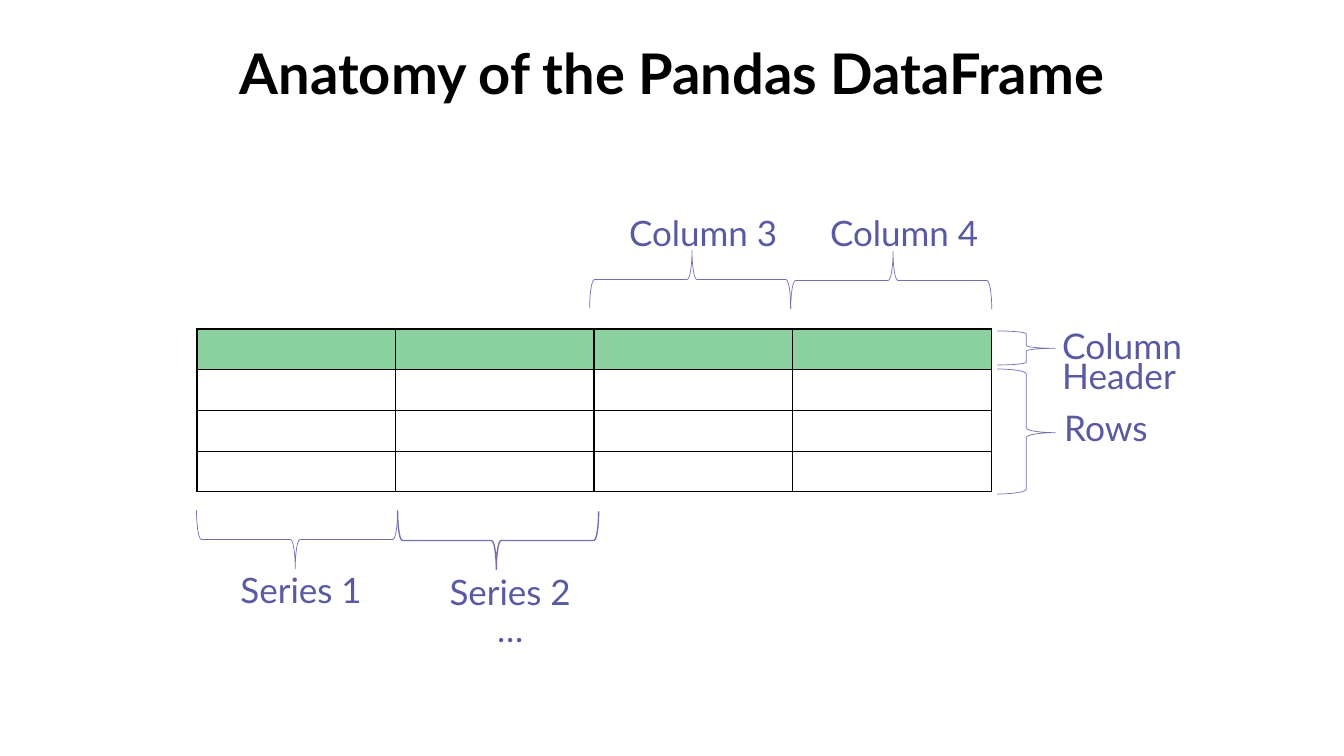
from lxml.etree import SubElement
from pptx import Presentation
from pptx.dml.color import RGBColor
from pptx.enum.shapes import MSO_SHAPE as Preset
from pptx.enum.text import MSO_ANCHOR as Anchor, PP_ALIGN as Align
from pptx.oxml.ns import qn
from pptx.util import Emu, Inches, Pt

EMU_PER_PIXEL = 914400 / 100.8


def color(hex_code):
    return RGBColor.from_string(hex_code)


def pixels(*lengths):
    return [Emu(round(length * EMU_PER_PIXEL)) for length in lengths]


class Diagram:
    FONT = "Lato"
    BLACK, LABEL, BRACE, HEADER = "000000", "5A5AA3", "7171B0", "5CC079"
    HEADER_OPACITY = 70

    def __init__(self, slide):
        self.slide = slide

    def text(self, content, left, top, width, height, size=25, ink=LABEL,
             bold=False, align=Align.LEFT, spacing=0.9):
        box = self.slide.shapes.add_textbox(*pixels(left, top, width, height))
        frame = box.text_frame
        frame.word_wrap = True
        frame.vertical_anchor = Anchor.TOP
        paragraph = frame.paragraphs[0]
        paragraph.alignment = align
        paragraph.line_spacing = spacing
        run = paragraph.add_run()
        run.text = content
        formats = {"name": self.FONT, "size": Pt(size), "bold": bold}
        for name, value in formats.items():
            setattr(run.font, name, value)
        run.font.color.rgb = color(ink)

    def brace(self, left, top, height, rotation, weight=0.5, width=58):
        shape = self.slide.shapes.add_shape(
            Preset.LEFT_BRACE, *pixels(left, top, width, height))
        shape.rotation = rotation
        shape.adjustments[0], shape.adjustments[1] = 0.083, 0.491
        shape.shadow.inherit = False
        shape.fill.background()
        shape.line.color.rgb = color(self.BRACE)
        shape.line.width = Pt(weight)

    def border(self, cell):
        properties = cell._tc.get_or_add_tcPr()
        for side in ("a:lnL", "a:lnR", "a:lnT", "a:lnB"):
            line = SubElement(properties, qn(side), w=str(Pt(1)))
            fill = SubElement(line, qn("a:solidFill"))
            SubElement(fill, qn("a:srgbClr"), val=self.BLACK)

    def table(self, rows, columns, left, top, width, height):
        table = self.slide.shapes.add_table(
            rows, columns, *pixels(left, top, width, height)).table
        table.first_row = table.horz_banding = False
        for cell in table.iter_cells():
            self.border(cell)
            cell.fill.background()
        # Translucent header row
        for cell in table.rows[0].cells:
            cell.fill.solid()
            cell.fill.fore_color.rgb = color(self.HEADER)
            tint = cell._tc.tcPr.find(".//" + qn("a:solidFill") + "[last()]")
            tint = cell._tc.tcPr.find(qn("a:solidFill")).find(qn("a:srgbClr"))
            SubElement(tint, qn("a:alpha"), val=str(self.HEADER_OPACITY * 1000))


presentation = Presentation()
presentation.slide_width, presentation.slide_height = Inches(13.33), Inches(7.5)
diagram = Diagram(presentation.slides.add_slide(presentation.slide_layouts[6]))

# Title and data frame
diagram.text("Anatomy of the Pandas DataFrame", 0, 41, 1344, 73, size=40,
             ink=Diagram.BLACK, bold=True, align=Align.CENTER)
diagram.table(4, 4, 197, 329, 794, 163)

# Header and row braces on the right
for label, left, top, brace_top, brace_height in (
        ("Column Header", 1052, 331, 331, 34),
        ("Rows", 1054, 413, 369, 125)):
    diagram.brace(997, brace_top, brace_height, 180)
    diagram.text(label, left, top, 255, 42, size=25.2, spacing=0.7)

# Column braces above, series braces below
COLUMN_STEP = 201
for index, (column, series, series_weight) in enumerate((
        ("Column 3", "Series 1", 0.5), ("Column 4", "Series 2 …", 1))):
    shift = index * COLUMN_STEP
    diagram.brace(661 + shift, 179 + index, COLUMN_STEP, 90)
    diagram.text(column, 619 + shift, 211, 168, 40)
    diagram.brace(268 + shift, 439 + index, COLUMN_STEP, 270, series_weight)
    diagram.text(series, 217 + 209 * index, 568 + 2 * index, 168, 40,
                 align=Align.CENTER)

presentation.save("out.pptx")
